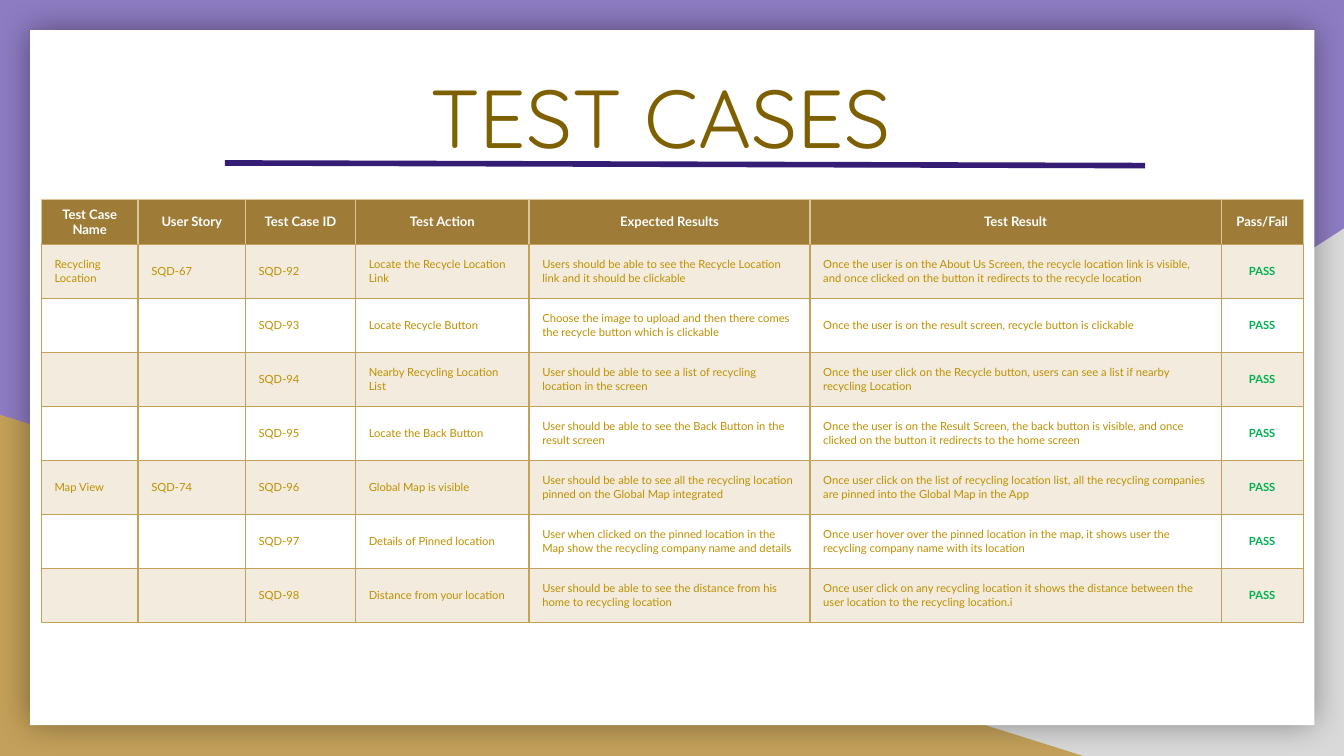
from typing import Any, NamedTuple

from lxml.etree import SubElement as Sub
from pptx import Presentation as Deck
from pptx.dml.color import RGBColor as RGB
from pptx.enum.shapes import MSO_CONNECTOR as Link, MSO_SHAPE as Form
from pptx.enum.text import MSO_ANCHOR as Anchor, PP_ALIGN as Align
from pptx.oxml.ns import qn
from pptx.util import Cm, Pt

PURPLE = RGB(0x8E, 0x7C, 0xC3)
INDIGO = RGB(0x35, 0x1C, 0x75)
GRAY = RGB(0xD9, 0xD9, 0xD9)
GOLD = RGB(0xC4, 0xA1, 0x5A)
PALE = RGB(0xDB, 0xC6, 0x9B)
BRONZE = RGB(0x9E, 0x7C, 0x38)
BROWN = RGB(0x7F, 0x60, 0x00)
AMBER = RGB(0xBF, 0x90, 0x00)
GREEN = RGB(0x00, 0xB0, 0x50)
WHITE = RGB(0xFF, 0xFF, 0xFF)
BLACK = RGB(0, 0, 0)


class Block(NamedTuple):
    form: Form
    left: float
    top: float
    width: float
    height: float
    color: RGB
    flip: bool = False
    glow: bool = False


class Look(NamedTuple):
    color: RGB
    size: float
    bold: bool
    align: Align


class Case(NamedTuple):
    name: str
    story: str
    code: str
    action: str
    goal: str
    result: str
    grade: str = "PASS"


BLOCKS = [
    Block(Form.RIGHT_TRIANGLE, 9.96, 4.32, 15.44, 9.97, GRAY, flip=True),
    Block(Form.RIGHT_TRIANGLE, 0, 7.84, 20.47, 6.45, GOLD),
    Block(Form.RECTANGLE, 0.57, 0.57, 24.27, 13.14, WHITE, glow=True),
]

HEAD = Look(WHITE, 7, True, Align.CENTER)
BODY = Look(AMBER, 6, False, Align.LEFT)
GRADE = Look(GREEN, 6, True, Align.CENTER)

WIDTHS = [1.83, 2.03, 2.08, 3.28, 5.31, 7.77, 1.55]
HEAD_TALL, ROW_TALL = 0.85, 1.02

CASES = [
    Case("Test Case Name", "User Story", "Test Case ID", "Test Action",
         "Expected Results", "Test Result", "Pass/Fail"),
    Case("Recycling Location", "SQD-67", "SQD-92", "Locate the Recycle Location Link",
         "Users should be able to see the Recycle Location link and it should be clickable",
         "Once the user is on the About Us Screen, the recycle location link is visible, "
         "and once clicked on the button it redirects to the recycle location"),
    Case("", "", "SQD-93", "Locate Recycle Button",
         "Choose the image to upload and then there comes the recycle button which is clickable",
         "Once the user is on the result screen, recycle button is clickable"),
    Case("", "", "SQD-94", "Nearby Recycling Location List",
         "User should be able to see a list of recycling location in the screen",
         "Once the user click on the Recycle button, users can see a list if nearby "
         "recycling Location"),
    Case("", "", "SQD-95", "Locate the Back Button",
         "User should be able to see the Back Button in the result screen",
         "Once the user is on the Result Screen, the back button is visible, and once "
         "clicked on the button it redirects to the home screen"),
    Case("Map View", "SQD-74", "SQD-96", "Global Map is visible",
         "User should be able to see all the recycling location pinned on the "
         "Global Map integrated",
         "Once user click on the list of recycling location list, all the recycling "
         "companies are pinned into the Global Map in the App"),
    Case("", "", "SQD-97", "Details of Pinned location",
         "User when clicked on the pinned location in the Map show the recycling "
         "company name and details",
         "Once user hover over the pinned location in the map, it shows user the "
         "recycling company name with its location"),
    Case("", "", "SQD-98", "Distance from your location",
         "User should be able to see the distance from his home to recycling location",
         "Once user click on any recycling location it shows the distance between the "
         "user location to the recycling location.i"),
]


def apply(target: Any, values: dict[str, Any]) -> None:
    for key, value in values.items():
        setattr(target, key, value)


def add_tint(parent: Any, color: RGB, alpha: int) -> None:
    tint = Sub(parent, qn("a:srgbClr"), val=str(color))
    Sub(tint, qn("a:alpha"), val=str(alpha * 1000))


def draw_block(slide: Any, block: Block) -> None:
    box = [Cm(n) for n in block[1:5]]
    shape = slide.shapes.add_shape(block.form, *box)
    shape.shadow.inherit = False
    shape.fill.solid()
    shape.fill.fore_color.rgb = block.color
    shape.line.fill.background()
    props = shape.element.spPr
    if block.flip:
        props.find(qn("a:xfrm")).set("flipH", "1")
    if block.glow:
        glow = Sub(props.find(qn("a:effectLst")), qn("a:outerShdw"),
                   blurRad=str(Pt(18)), dist="0", dir="0", algn="ctr", rotWithShape="0")
        add_tint(glow, BLACK, 40)


def draw_title(slide: Any, text: str) -> None:
    title = slide.shapes.title
    title.element.getparent().append(title.element)
    apply(title, dict(left=Cm(2.06), top=Cm(0.86), width=Cm(20.85), height=Cm(2.64)))
    frame = title.text_frame
    pad = Cm(0.25)
    apply(frame, dict(text=text, vertical_anchor=Anchor.MIDDLE, word_wrap=True,
                      margin_left=pad, margin_right=pad, margin_top=pad, margin_bottom=pad))
    line = frame.paragraphs[0]
    line.alignment = Align.CENTER
    font = line.runs[0].font
    apply(font, dict(name="Quicksand", size=Pt(44), bold=False))
    font.color.rgb = BROWN


def draw_rule(slide: Any) -> None:
    rule = slide.shapes.add_connector(Link.STRAIGHT, Cm(4.25), Cm(3.08), Cm(21.64), Cm(3.13))
    rule.line.width = Pt(3)
    rule.line.color.rgb = INDIGO
    Sub(rule.element.spPr, qn("a:effectLst"))


def draw_edge(cell: Any, side: str, color: RGB) -> None:
    edge = Sub(cell._tc.get_or_add_tcPr(), qn(f"a:ln{side}"), w=str(Pt(0.75)))
    add_tint(Sub(edge, qn("a:solidFill")), color, 100)


def fill_cell(cell: Any, text: str, look: Look, row: int, pad: float) -> None:
    apply(cell, dict(vertical_anchor=Anchor.MIDDLE,
                     margin_left=Cm(0.25), margin_right=Cm(0.25),
                     margin_top=Cm(pad), margin_bottom=Cm(pad)))
    for side in "LRTB":
        draw_edge(cell, side, PALE if row == 0 and side != "B" else GOLD)
    if row % 2:
        cell.fill.solid()
        cell.fill.fore_color.rgb = GOLD
        tint = cell._tc.tcPr.find(f"{qn('a:solidFill')}/{qn('a:srgbClr')}")
        Sub(tint, qn("a:alpha"), val="20000")
    elif row:
        cell.fill.background()
    else:
        cell.fill.solid()
        cell.fill.fore_color.rgb = BRONZE
    if text:
        line = cell.text_frame.paragraphs[0]
        line.alignment = look.align
        run = line.add_run()
        run.text = text
        apply(run.font, dict(name="Lato", size=Pt(look.size), bold=look.bold))
        run.font.color.rgb = look.color


def draw_table(slide: Any) -> None:
    tall = HEAD_TALL + ROW_TALL * (len(CASES) - 1)
    table = slide.shapes.add_table(len(CASES), len(WIDTHS), Cm(0.78), Cm(3.77),
                                   Cm(sum(WIDTHS)), Cm(tall)).table
    apply(table, dict(first_row=False, horz_banding=False))
    for col, width in zip(table.columns, WIDTHS):
        col.width = Cm(width)
    last = len(WIDTHS) - 1
    for row, case in enumerate(CASES):
        table.rows[row].height = Cm(ROW_TALL if row else HEAD_TALL)
        for col, text in enumerate(case):
            look = HEAD if row == 0 else GRADE if col == last else BODY
            tight = not text or row == col == 0
            fill_cell(table.cell(row, col), text, look, row, 0.1 if tight else 0.25)


def main() -> None:
    deck = Deck()
    apply(deck, dict(slide_width=Cm(25.4), slide_height=Cm(14.29)))
    slide = deck.slides.add_slide(deck.slide_layouts[5])
    slide.background.fill.solid()
    slide.background.fill.fore_color.rgb = PURPLE
    for block in BLOCKS:
        draw_block(slide, block)
    draw_title(slide, "TEST CASES")
    draw_rule(slide)
    draw_table(slide)
    deck.save("out.pptx")


if __name__ == "__main__":
    main()
